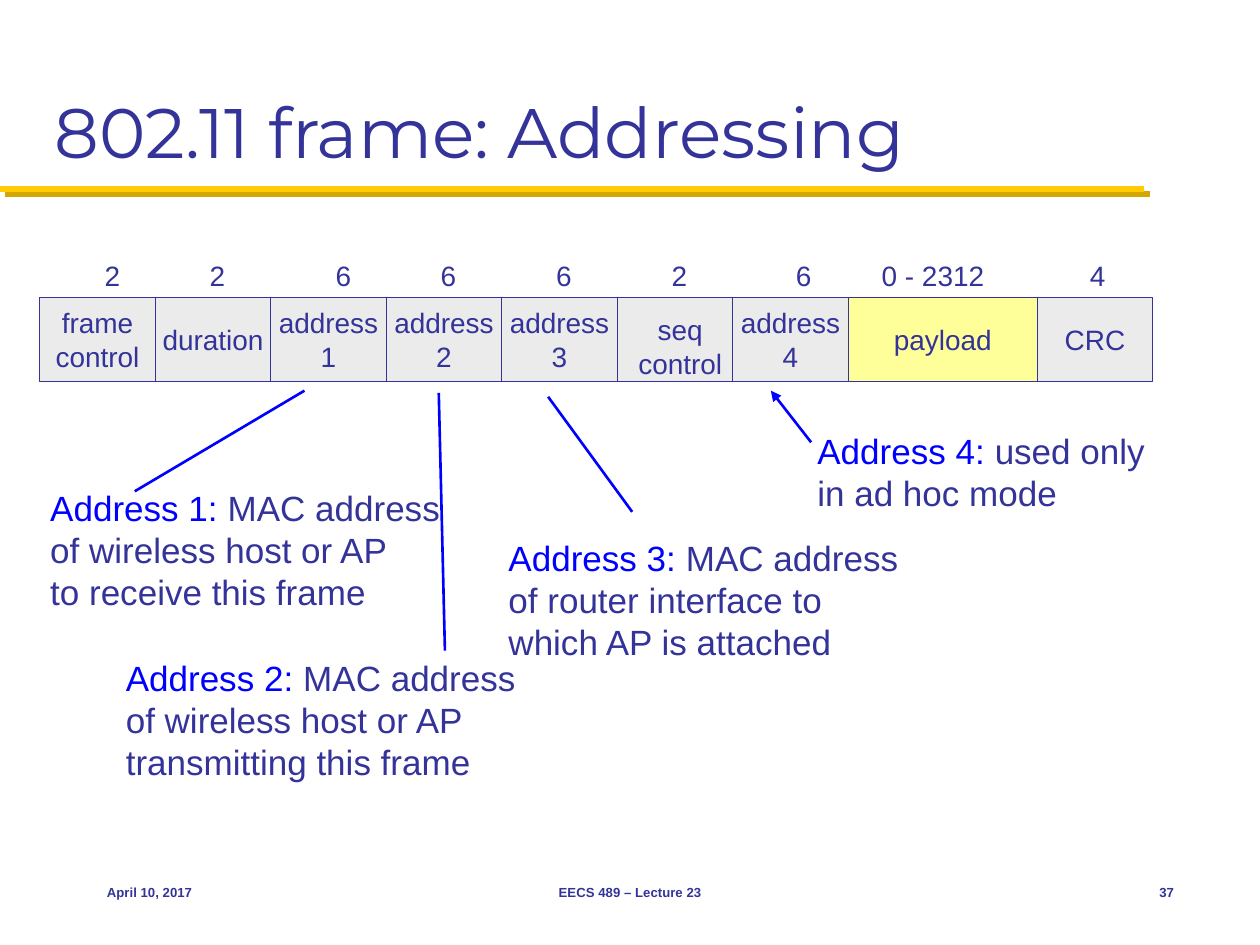
import pptx
import pptx.util
import pptx.dml.color
import pptx.enum.shapes
import pptx.enum.text
import pptx.oxml
import pptx.oxml.ns

Pt = pptx.util.Pt
ALIGN = pptx.enum.text.PP_ALIGN
ANCHOR = pptx.enum.text.MSO_ANCHOR
COLORS = {
    "ink": "333399",
    "accent": "0000FF",
    "cell": "EBEBEB",
    "payload": "FFFF99",
    "rule": "FFCB05",
    "rule_shadow": "D3A600",
}


def rgb(name):
    return pptx.dml.color.RGBColor.from_string(COLORS[name])


class SlideBuilder:
    """Holds the text style and the current slide."""

    style = {"name": "Arial", "size": Pt(16)}

    def __init__(self, slide):
        self.slide = slide

    def fill_text(self, frame, paragraphs, align=ALIGN.LEFT, anchor=ANCHOR.TOP,
                  wrap=False, **font):
        """Each paragraph is a list of (text, colour name) runs."""
        frame.word_wrap = wrap
        frame.vertical_anchor = anchor
        for index, runs in enumerate(paragraphs):
            paragraph = frame.add_paragraph() if index else frame.paragraphs[0]
            paragraph.alignment = align
            for words, color in runs:
                run = paragraph.add_run()
                run.text = words
                for key, value in {**self.style, **font}.items():
                    setattr(run.font, key, value)
                run.font.color.rgb = rgb(color)

    def text(self, box, paragraphs, **options):
        area = self.slide.shapes.add_textbox(*map(Pt, box))
        self.fill_text(area.text_frame, paragraphs, **options)

    def cell(self, box, lines, fill):
        field = self.slide.shapes.add_shape(
            pptx.enum.shapes.MSO_SHAPE.RECTANGLE, *map(Pt, box))
        field.shadow.inherit = False
        field.fill.solid()
        field.fill.fore_color.rgb = rgb(fill)
        field.line.color.rgb = rgb("ink")
        field.line.width = Pt(0.75)
        self.fill_text(field.text_frame, [[(line, "ink")] for line in lines],
                       align=ALIGN.CENTER, anchor=ANCHOR.MIDDLE)

    def line(self, start, end, color="accent", width=1.5, arrow=False, shadow=None):
        connector = self.slide.shapes.add_connector(
            pptx.enum.shapes.MSO_CONNECTOR.STRAIGHT, *map(Pt, start + end))
        connector.line.color.rgb = rgb(color)
        connector.line.width = Pt(width)
        if arrow:
            tail = pptx.oxml.parse_xml(
                f'<a:tailEnd {pptx.oxml.ns.nsdecls("a")} type="triangle"/>')
            connector.line._get_or_add_ln().append(tail)
        cast = ""
        if shadow:
            cast = (f'<a:outerShdw dist="{Pt(4.2)}" dir="2700000" algn="ctr" '
                    f'rotWithShape="0"><a:srgbClr val="{COLORS[shadow]}"/></a:outerShdw>')
        connector._element.spPr.append(pptx.oxml.parse_xml(
            f'<a:effectLst {pptx.oxml.ns.nsdecls("a")}>{cast}</a:effectLst>'))


def main():
    deck = pptx.Presentation()
    deck.slide_width, deck.slide_height = Pt(720), Pt(540)
    page = SlideBuilder(deck.slides.add_slide(deck.slide_layouts[6]))

    # Title and rule
    page.line((0, 108), (654, 108), "rule", 3.5, shadow="rule_shadow")
    page.text((24, 12, 672, 90), [[("802.11 frame: Addressing", "ink")]],
              anchor=ANCHOR.BOTTOM, wrap=True, name="Montserrat", size=Pt(40))

    # Frame fields: byte count, its offset from the field's left edge, name
    fields = [
        ("2", 30, ["frame", "control"]),
        ("2", 24, ["duration"]),
        ("6", 30, ["address", "1"]),
        ("6", 24, ["address", "2"]),
        ("6", 24, ["address", "3"]),
        ("2", 24, []),
        ("6", 29, ["address", "4"]),
        ("0 - 2312", 12, ["payload"]),
        ("4", 23, ["CRC"]),
    ]
    left = 22.75
    for count, offset, name in fields:
        is_payload = name == ["payload"]
        width = 108 if is_payload else 66
        page.cell((left, 170, width, 48), name, "payload" if is_payload else "cell")
        page.text((left + offset, 144, 74 if is_payload else 23.8, 26.6),
                  [[(count, "ink")]])
        left += width

    # The sequence control name sits a little low in its field
    page.text((357, 175, 63.5, 46), [[("seq", "ink")], [("control", "ink")]],
              align=ALIGN.CENTER)

    # Address notes: number, box, wrapped or not, lines of text
    notes = [
        (1, (21.6, 274.5, 239, 80), False,
         ["MAC address", "of wireless host or AP", "to receive this frame"]),
        (2, (64.8, 371.5, 239, 80), False,
         ["MAC address", "of wireless host or AP", "transmitting this frame"]),
        (3, (283.5, 303, 240.5, 80), True,
         ["MAC address", "of router interface to which AP is attached"]),
        (4, (460, 242, 205, 55.5), True, ["used only in ad hoc mode"]),
    ]
    for number, box, wrap, (first, *others) in notes:
        heading = [(f"Address {number}: ", "accent"), (first, "ink")]
        page.text(box, [heading] + [[(line, "ink")] for line in others],
                  wrap=wrap, size=Pt(20))

    # Pointers between notes and fields
    page.line((77, 280.75), (174, 223.25))
    page.line((254.25, 371.75), (250.75, 224.5))
    page.line((361.25, 292.5), (313.25, 226.75))
    page.line((463.5, 252.75), (440.5, 223.25), arrow=True)

    # Footer
    footers = [
        (54, 150, "April 10, 2017", ALIGN.LEFT),
        (246, 228, "EECS 489 – Lecture 23", ALIGN.CENTER),
        (630, 48, "37", ALIGN.RIGHT),
    ]
    for left, width, words, align in footers:
        page.text((left, 492, width, 36), [[(words, "ink")]], align=align,
                  anchor=ANCHOR.MIDDLE, wrap=True, size=Pt(7.5), bold=True)

    deck.save("out.pptx")


if __name__ == "__main__":
    main()
